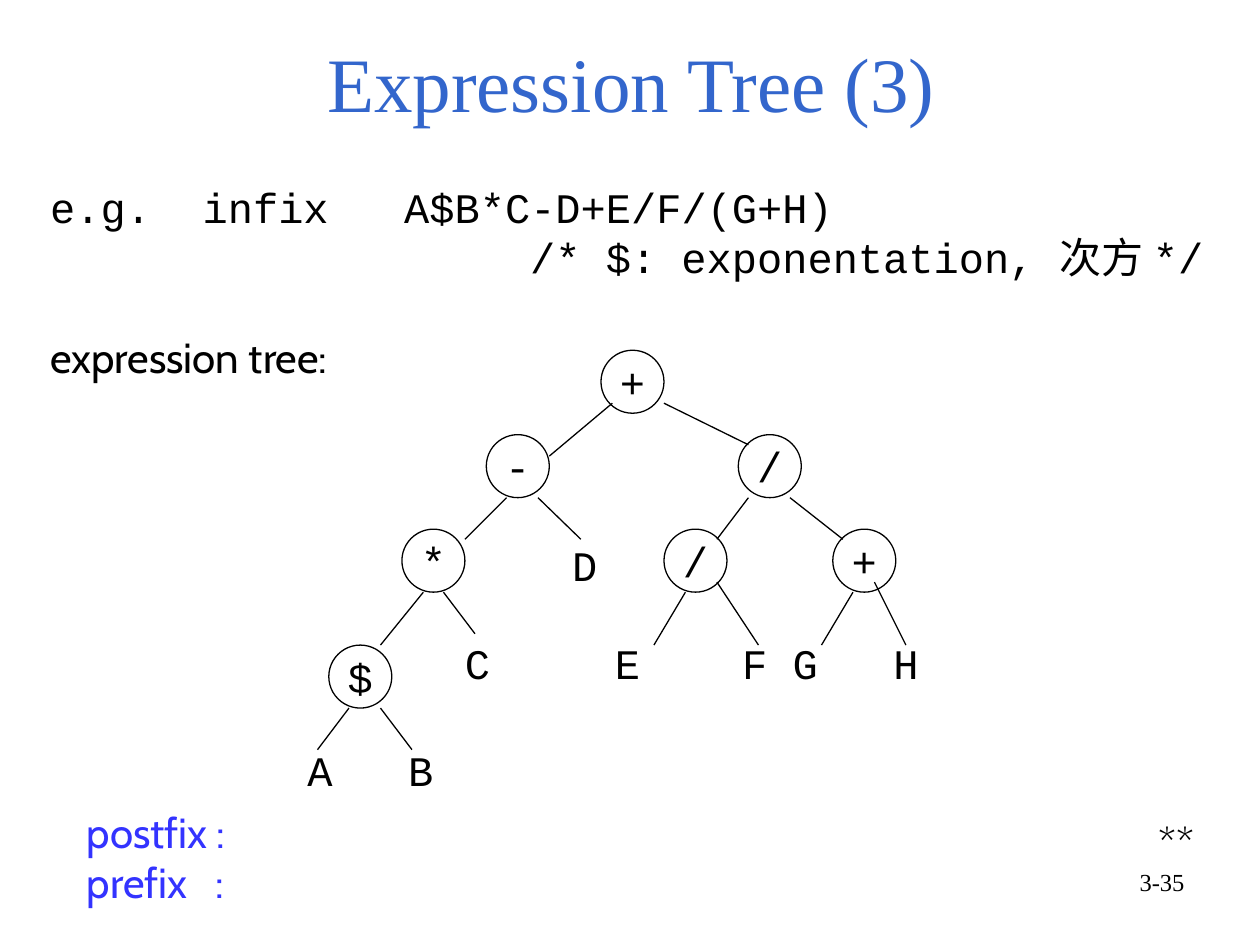
import pptx
import pptx.dml.color
import pptx.enum.shapes
import pptx.enum.text
import pptx.oxml
import pptx.oxml.ns
import pptx.util
import lxml.etree

Inches = pptx.util.Inches
Pt = pptx.util.Pt
RGBColor = pptx.dml.color.RGBColor
ALIGN = pptx.enum.text.PP_ALIGN
MIDDLE = pptx.enum.text.MSO_ANCHOR.MIDDLE
qn = pptx.oxml.ns.qn

BLACK = RGBColor(0x00, 0x00, 0x00)
TITLE_BLUE = RGBColor(0x33, 0x66, 0xCC)
ANSWER_BLUE = RGBColor(0x33, 0x33, 0xFF)
MONO, SANS, SERIF = "Courier New", "Cabin", "Times New Roman"

NODE_SIZE = 0.5
LEAF_WIDTH = 0.4

TITLE = "Expression Tree (3)"
EXAMPLE = [
    ("e.g.\tinfix\tA$B*C-D+E/F/(G+H)", MONO, (1.21, 2.81), 0),
    ("\t/* $: exponentation, 次方 */", MONO, (3.81,), 0),
    ("expression tree:", SANS, (), 28),
]
OPERATORS = [
    (2.78, [("+", 4.77)]),
    (3.45, [("-", 3.86), ("/", 5.86)]),
    (4.2, [("*", 3.19), ("/", 5.27), ("+", 6.61)]),
    (5.12, [("$", 2.61)]),
]
OPERANDS = [
    (4.23, [("D", 4.64)]),
    (5.01, [("C", 3.79), ("E", 4.98), ("F", 5.99), ("G", 6.39), ("H", 7.19)]),
    (5.86, [("A", 2.54), ("B", 3.34)]),
]
BRANCHES = [
    (4.86, 3.2, 4.36, 3.62), (5.27, 3.2, 5.94, 3.53),
    (4.02, 3.95, 3.69, 4.28), (4.27, 3.95, 4.61, 4.28),
    (5.94, 3.95, 5.69, 4.28), (6.27, 3.95, 6.69, 4.28),
    (3.36, 4.7, 3.02, 5.12), (3.52, 4.7, 3.77, 5.03),
    (5.44, 4.7, 5.19, 5.12), (5.69, 4.62, 6.02, 5.12),
    (6.77, 4.7, 6.52, 5.12), (6.94, 4.62, 7.19, 5.12),
    (2.77, 5.62, 2.52, 5.95), (3.02, 5.62, 3.27, 5.95),
]


def format_paragraph(paragraph, font, size=24, color=BLACK, align=ALIGN.LEFT, tabs=()):
    paragraph.alignment = align
    if tabs:
        tab_list = lxml.etree.SubElement(paragraph._p.get_or_add_pPr(), qn("a:tabLst"))
        for position in tabs:
            lxml.etree.SubElement(tab_list, qn("a:tab"), pos=str(Inches(position)), algn="l")
    for run in paragraph.runs:
        run.font.name = font
        run.font.size = Pt(size)
        run.font.color.rgb = color


def add_text(slide, text, left, top, width, height, font, wrap=True, **style):
    box = slide.shapes.add_textbox(Inches(left), Inches(top), Inches(width), Inches(height))
    box.text_frame.word_wrap = wrap
    box.text_frame.text = text
    format_paragraph(box.text_frame.paragraphs[0], font, **style)


def add_title(slide):
    title = slide.shapes.title
    title.left, title.top, title.width, title.height = map(Inches, (0.75, 0.15, 8.52, 1))
    title.text_frame.text = TITLE
    title.text_frame.vertical_anchor = MIDDLE
    format_paragraph(title.text_frame.paragraphs[0], SERIF, 44, TITLE_BLUE, ALIGN.CENTER)


def add_example(slide):
    box = slide.shapes.add_textbox(Inches(0.3), Inches(1.39), Inches(9.65), Inches(1.7))
    frame = box.text_frame
    frame.word_wrap = True
    frame.text = "\n".join(text for text, *_ in EXAMPLE)
    for paragraph, (_, font, tabs, gap) in zip(frame.paragraphs, EXAMPLE):
        format_paragraph(paragraph, font, tabs=tabs)
        if gap:
            paragraph.space_before = Pt(gap)


def add_operator(slide, symbol, left, top):
    node = slide.shapes.add_shape(
        pptx.enum.shapes.MSO_SHAPE.OVAL,
        Inches(left), Inches(top), Inches(NODE_SIZE), Inches(NODE_SIZE))
    node.shadow.inherit = False
    node.fill.background()
    node.line.color.rgb = BLACK
    node.line.width = Pt(0.75)
    node.text_frame.word_wrap = False
    node.text_frame.vertical_anchor = MIDDLE
    node.text_frame.text = symbol
    format_paragraph(node.text_frame.paragraphs[0], MONO, align=ALIGN.CENTER)


def add_branch(slide, ends):
    branch = slide.shapes.add_connector(
        pptx.enum.shapes.MSO_CONNECTOR.STRAIGHT, *map(Inches, ends))
    branch.line.color.rgb = BLACK
    branch.line.width = Pt(0.75)
    lxml.etree.SubElement(branch._element.spPr, qn("a:effectLst"))


def main():
    presentation = pptx.Presentation()
    presentation.slide_width, presentation.slide_height = Inches(10), Inches(7.5)
    slide = presentation.slides.add_slide(presentation.slide_layouts[5])
    add_title(slide)
    add_example(slide)
    for top, row in OPERATORS:
        for symbol, left in row:
            add_operator(slide, symbol, left, top)
    for top, row in OPERANDS:
        for name, center in row:
            add_text(slide, name, center - LEAF_WIDTH / 2, top, LEAF_WIDTH, 0.5,
                     MONO, wrap=False, align=ALIGN.CENTER)
    for ends in BRANCHES:
        add_branch(slide, ends)
    add_text(slide, "postfix :\vprefix\t:", 0.59, 6.35, 1.77, 0.9, SANS,
             color=ANSWER_BLUE, tabs=(1.02,))
    add_text(slide, "**", 9.1, 6.43, 0.63, 0.5, SANS)
    add_text(slide, "3-35", 7.17, 6.83, 2.33, 0.52, SERIF, size=14, align=ALIGN.RIGHT)
    presentation.save("out.pptx")


if __name__ == "__main__":
    main()
